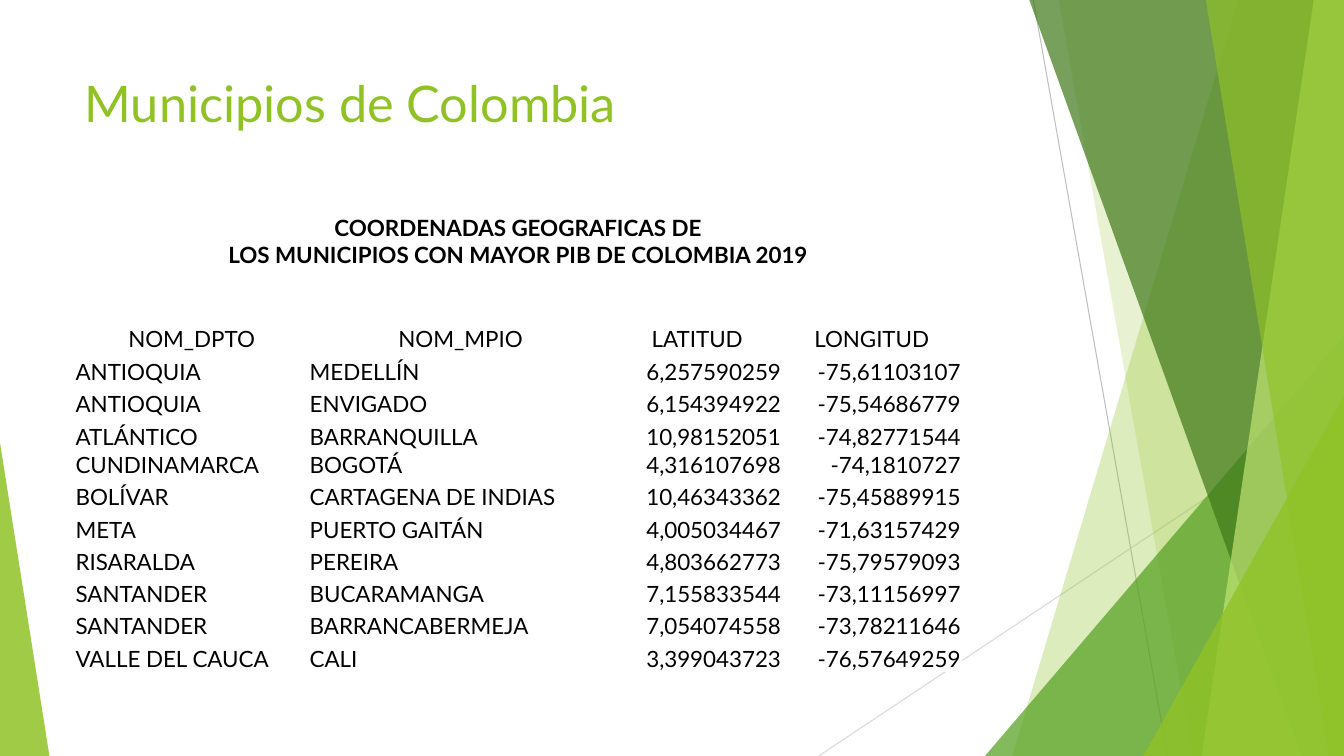
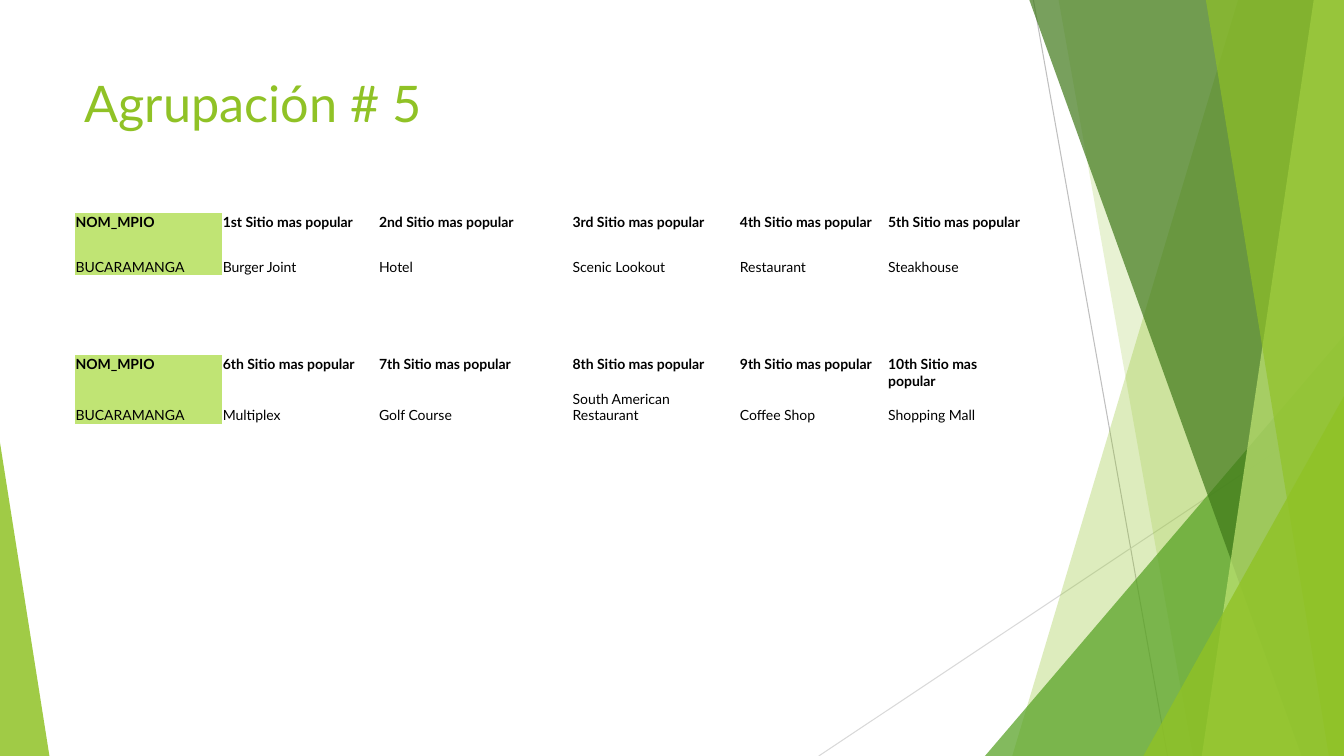
from dataclasses import dataclass
from lxml.etree import SubElement
from pptx import Presentation
from pptx.dml.color import RGBColor
from pptx.enum.shapes import MSO_CONNECTOR, MSO_SHAPE
from pptx.enum.text import MSO_ANCHOR, MSO_AUTO_SIZE, PP_ALIGN
from pptx.oxml.ns import qn
from pptx.util import Emu, Inches, Pt


@dataclass(frozen=True)
class Theme:
    font: str = "Lato"
    lime: str = "90C226"
    green: str = "54A021"
    forest: str = "3F7819"
    pale: str = "C0E474"
    white: str = "FFFFFF"
    black: str = "000000"
    gray: str = "BFBFBF"
    light_gray: str = "D9D9D9"
    title_size: int = 36
    table_size: int = 16
    small_size: int = 10


T = Theme()
NO_GRID = "{2D5ABB26-0587-4C30-8999-92F81FD0307C}"
L, C, R = PP_ALIGN.LEFT, PP_ALIGN.CENTER, PP_ALIGN.RIGHT

prs = Presentation()
prs.slide_width, prs.slide_height = Inches(13.33), Inches(7.5)
layout = prs.slide_layouts[5]


def px(share):
    return Emu(round(prs.slide_width * share / 100))


def py(share):
    return Emu(round(prs.slide_height * share / 100))


def place(box):
    x, y, w, h = box
    return px(x), py(y), px(w), py(h)


def rgb(color):
    return RGBColor.from_string(color)


def set_font(p, size, color, bold=False):
    p.font.name, p.font.size, p.font.bold = T.font, Pt(size), bold
    p.font.color.rgb = rgb(color)


def paint(shape, color, opacity):
    shape.shadow.inherit = False
    shape.fill.solid()
    shape.fill.fore_color.rgb = rgb(color)
    shape.line.fill.background()
    clr = shape.element.spPr.find(".//" + qn("a:srgbClr"))
    SubElement(clr, qn("a:alpha")).set("val", str(opacity * 1000))


def add_rule(s, start, end, color):
    line = s.shapes.add_connector(MSO_CONNECTOR.STRAIGHT, px(start[0]), py(start[1]), px(end[0]), py(end[1]))
    line.line.color.rgb = rgb(color)
    line.line.width = Pt(0.75)
    SubElement(line.element.spPr, qn("a:effectLst"))


def add_band(s, top, bottom, color, opacity):
    fb = s.shapes.build_freeform(px(top), 0, scale=1.0)
    fb.add_line_segments([(px(100), 0), (px(100), py(100)), (px(bottom), py(100))], close=True)
    paint(fb.convert_to_shape(), color, opacity)


def add_corner(s, left, right, top, apex, color, opacity):
    sp = s.shapes.add_shape(MSO_SHAPE.ISOSCELES_TRIANGLE, *place((left, top, right - left, 100 - top)))
    sp.adjustments[0] = apex
    paint(sp, color, opacity)


def decorate_layout(s):
    for ph in list(layout.placeholders)[1:]:
        ph.element.getparent().remove(ph.element)
    before = len(s.shapes)
    add_rule(s, (76.89, 0), (86.87, 100), T.gray)
    add_rule(s, (100, 53.73), (60.92, 100), T.light_gray)
    add_band(s, 92.12, 75.32, T.lime, 30)
    add_band(s, 78.77, 88.75, T.lime, 20)
    add_corner(s, 73.29, 100, 44.4, 1, T.green, 72)
    add_band(s, 76.59, 96.85, T.forest, 70)
    add_band(s, 97.75, 89.42, T.pale, 70)
    add_band(s, 89.72, 98.87, T.lime, 65)
    add_corner(s, 85.07, 100, 52.4, 1, T.lime, 80)
    add_corner(s, 0, 3.68, 58.53, 0, T.lime, 85)
    for i, sp in enumerate(list(s.shapes)[before:]):
        layout.shapes.element.insert(2 + i, sp.element)


def add_title(s, text, box):
    title = s.shapes.title
    title.left, title.top, title.width, title.height = place(box)
    tf = title.text_frame
    tf.text = text
    tf.auto_size = MSO_AUTO_SIZE.NONE
    tf.vertical_anchor = MSO_ANCHOR.TOP
    p = tf.paragraphs[0]
    p.alignment = L
    set_font(p, T.title_size, T.lime)


def add_grid(s, box, cols, rows):
    table = s.shapes.add_table(len(rows), len(cols), *place(box)).table
    table.first_row = table.horz_banding = False
    table._tbl.tblPr.find(qn("a:tableStyleId")).text = NO_GRID
    for col, share in zip(table.columns, cols):
        col.width = round(px(box[2]) * share / sum(cols))
    for row, share in zip(table.rows, rows):
        row.height = round(py(box[3]) * share / sum(rows))
    return table


def fill_cell(cell, text, size, align=L, bold=False, anchor=MSO_ANCHOR.BOTTOM, fill=T.white):
    cell.margin_left = cell.margin_right = cell.margin_top = Inches(0.01)
    cell.margin_bottom = 0
    cell.vertical_anchor = anchor
    cell.fill.solid()
    cell.fill.fore_color.rgb = rgb(fill)
    p = cell.text_frame.paragraphs[0]
    p.text = text
    p.alignment = align
    set_font(p, size, T.black, bold)
    if not text:
        SubElement(p._p, qn("a:endParaRPr")).set("sz", str(size * 100))


def coordinates_table(s, box, heading, header, records):
    heights = [0.55, 0.28, 0.28, 0.28] + [0.28 if r[0] == "CUNDINAMARCA" else 0.32 for r in records]
    table = add_grid(s, box, [2.32, 3.01, 1.68, 1.78], heights)
    table.cell(0, 0).merge(table.cell(0, 3))
    fill_cell(table.cell(0, 0), heading, T.table_size, C, bold=True)
    blank = [""] * len(header)
    for i, record in enumerate([blank, blank, header, *records], 1):
        is_header = record is header
        for j, text in enumerate(record):
            align = C if is_header else L if j < 2 else R
            anchor = MSO_ANCHOR.TOP if is_header else MSO_ANCHOR.BOTTOM
            fill_cell(table.cell(i, j), text, T.table_size, align, anchor=anchor)


def ranking_table(s, box, town, ranks, venues):
    table = add_grid(s, box, [1.46, 1.55, 1.92, 1.66, 1.47, 1.34], [1, 1])
    header = ["NOM_MPIO"] + [f"{rank} Sitio mas popular" for rank in ranks]
    for i, row in enumerate([header, [town] + venues]):
        for j, text in enumerate(row):
            fill_cell(table.cell(i, j), text, T.small_size, bold=i == 0,
                      anchor=MSO_ANCHOR.BOTTOM if i else MSO_ANCHOR.TOP,
                      fill=T.white if j else T.pale)


TITLE_BOX = (5.55, 8.93, 70.52, 19.2)

HEADING = "COORDENADAS GEOGRAFICAS DE\vLOS MUNICIPIOS CON MAYOR PIB DE COLOMBIA 2019"
HEADER = ["NOM_DPTO", "NOM_MPIO", "LATITUD", "LONGITUD"]
TOWNS = [
    ("ANTIOQUIA", "MEDELLÍN", "6,257590259", "-75,61103107"),
    ("ANTIOQUIA", "ENVIGADO", "6,154394922", "-75,54686779"),
    ("ATLÁNTICO", "BARRANQUILLA", "10,98152051", "-74,82771544"),
    ("CUNDINAMARCA", "BOGOTÁ", "4,316107698", "-74,1810727"),
    ("BOLÍVAR", "CARTAGENA DE INDIAS", "10,46343362", "-75,45889915"),
    ("META", "PUERTO GAITÁN", "4,005034467", "-71,63157429"),
    ("RISARALDA", "PEREIRA", "4,803662773", "-75,79579093"),
    ("SANTANDER", "BUCARAMANGA", "7,155833544", "-73,11156997"),
    ("SANTANDER", "BARRANCABERMEJA", "7,054074558", "-73,78211646"),
    ("VALLE DEL CAUCA", "CALI", "3,399043723", "-76,57649259"),
]
RANKINGS = [
    (28.13, ["1st", "2nd", "3rd", "4th", "5th"],
     ["Burger Joint", "Hotel", "Scenic Lookout", "Restaurant", "Steakhouse"]),
    (46.93, ["6th", "7th", "8th", "9th", "10th"],
     ["Multiplex", "Golf Course", "South American Restaurant", "Coffee Shop", "Shopping Mall"]),
]


def towns_slide():
    s = prs.slides.add_slide(layout)
    decorate_layout(s)
    add_title(s, "Municipios de Colombia", TITLE_BOX)
    coordinates_table(s, (5.55, 28.13, 66, 60.8), HEADING, HEADER, TOWNS)


def group_slide():
    s = prs.slides.add_slide(layout)
    add_title(s, "Agrupación # 5", TITLE_BOX)
    for top, ranks, venues in RANKINGS:
        ranking_table(s, (5.55, top, 70.52, 8.27), "BUCARAMANGA", ranks, venues)


towns_slide()
group_slide()
prs.save("out.pptx")
